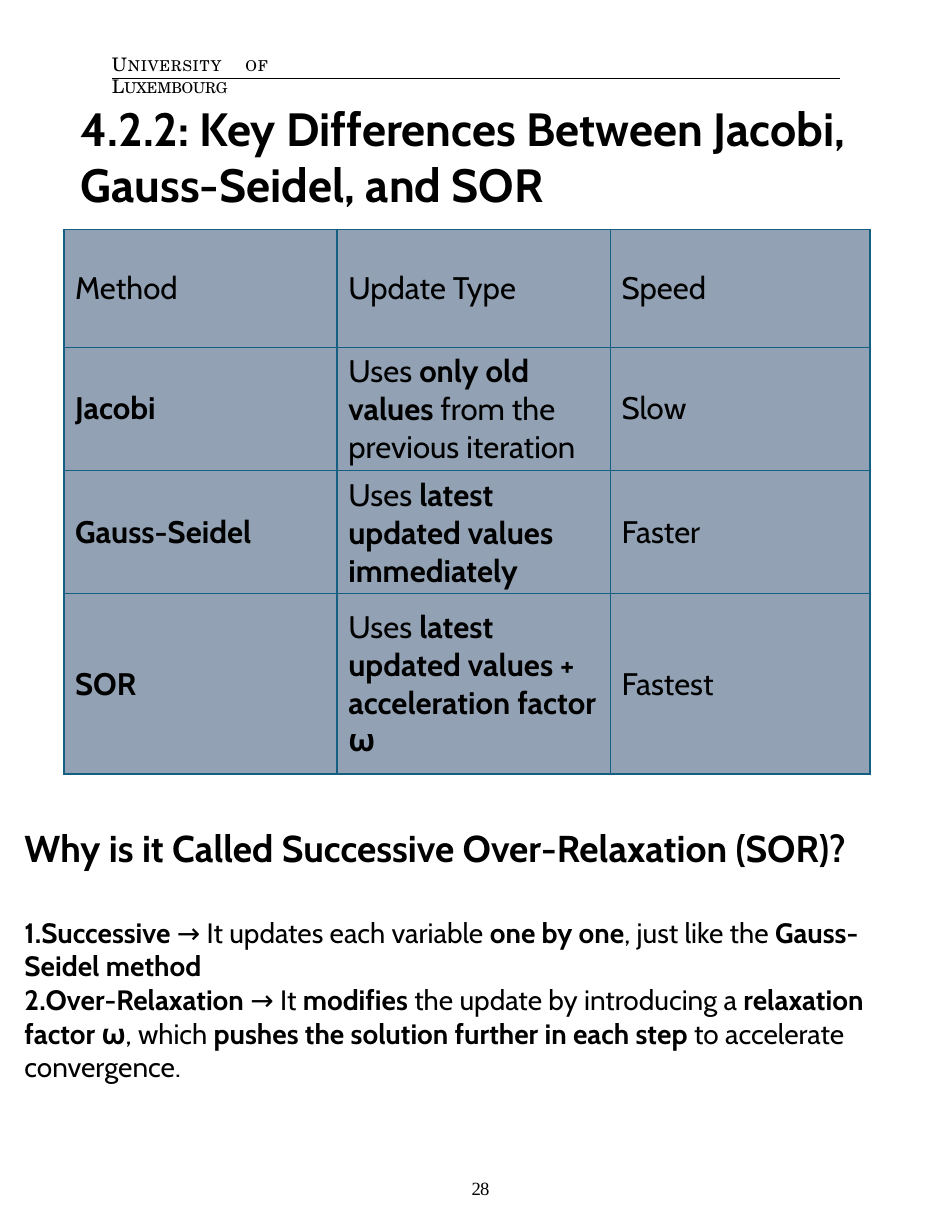
from lxml import etree
from pptx import Presentation
from pptx.dml.color import RGBColor
from pptx.enum.shapes import MSO_CONNECTOR
from pptx.enum.text import MSO_ANCHOR
from pptx.oxml.ns import qn
from pptx.util import Inches, Pt

STRAIGHT = MSO_CONNECTOR.STRAIGHT
MIDDLE = MSO_ANCHOR.MIDDLE
BODY_FONT = "Cabin"
BLACK, TABLE_FILL, TABLE_BORDER = "000000", "92A2B4", "156082"


def colour(value):
    return RGBColor.from_string(value)


def child(parent, tag, **attributes):
    return etree.SubElement(parent, qn(tag), attributes)


class Page:
    """Holds the text style and the current slide."""

    def __init__(self, deck, font):
        self.slide = deck.slides.add_slide(deck.slide_layouts[6])
        self.font = font

    def add_spans(self, para, spans, size, font=None):
        """Each span is (text, format values); extra values go to the XML."""
        for text, values in spans:
            span = para.add_run()
            span.text = text
            span.font.color.rgb = colour(BLACK)
            style = {"size": Pt(size), "name": font or self.font,
                     "bold": values.get("bold", False)}
            for name, value in style.items():
                setattr(span.font, name, value)
            for name in ("spc", "cap"):
                if name in values:
                    span._r.get_or_add_rPr().set(name, values[name])

    def text(self, left, top, width, height, margins=None):
        box = self.slide.shapes.add_textbox(
            Inches(left), Inches(top), Inches(width), Inches(height))
        frame = box.text_frame
        frame.word_wrap = True
        if margins:
            sides = ("margin_left", "margin_top", "margin_right", "margin_bottom")
            for side, value in zip(sides, margins):
                setattr(frame, side, Inches(value))
        return frame

    def label(self, left, top, width, height, spans, font):
        frame = self.text(left, top, width, height, (0, 0.01, 0, 0))
        para = frame.paragraphs[0]
        para.space_before = Pt(0.9)
        para._p.get_or_add_pPr().set("marL", str(Inches(0.01)))
        self.add_spans(para, spans, 12, font)

    def numbered(self, frame, spans, size, gap=0):
        para = frame.add_paragraph()
        para.space_before = Pt(gap)
        properties = para._p.get_or_add_pPr()
        properties.set("marL", "0")
        properties.set("indent", "0")
        child(properties, "a:buFont", typeface=self.font)
        child(properties, "a:buAutoNum", type="arabicPeriod")
        self.add_spans(para, spans, size)

    def rule(self, left, top, right):
        line = self.slide.shapes.add_connector(
            STRAIGHT, Inches(left), Inches(top), Inches(right), Inches(top))
        line.line.color.rgb = colour(BLACK)
        line.line.width = Pt(0.5)
        child(line._element.spPr, "a:effectLst")

    def table(self, left, top, widths, heights, rows, size):
        frame = self.slide.shapes.add_table(
            len(heights), len(widths), Inches(left), Inches(top),
            Inches(sum(widths)), Inches(sum(heights)))
        grid = frame.table
        for column, width in zip(grid.columns, widths):
            column.width = Inches(width)
        for row, height, contents in zip(grid.rows, heights, rows):
            row.height = Inches(height)
            for cell, spans in zip(row.cells, contents):
                cell.vertical_anchor = MIDDLE
                self.add_spans(cell.text_frame.paragraphs[0], spans, size)
                self.border(cell)
                cell.fill.solid()
                cell.fill.fore_color.rgb = colour(TABLE_FILL)

    def border(self, cell):
        properties = cell._tc.get_or_add_tcPr()
        for side in ("a:lnL", "a:lnR", "a:lnT", "a:lnB"):
            line = child(properties, side, w=str(Pt(1)))
            child(child(line, "a:solidFill"), "a:srgbClr", val=TABLE_BORDER)


def plain(text):
    return text, {}


def bold(text):
    return text, {"bold": True}


def main():
    deck = Presentation()
    deck.slide_width, deck.slide_height = Inches(8.5), Inches(11)
    page = Page(deck, BODY_FONT)

    # Running header and page number
    page.label(0.99, 0.46, 2.3, 0.22, [
        ("U", {"spc": "50"}),
        ("niversity", {"spc": "50", "cap": "small"}),
        (" ", {"spc": "700"}),
        ("of ", {"spc": "50", "cap": "small"}),
        ("L", {"spc": "-10"}),
        ("uxembourg", {"spc": "-10", "cap": "small"}),
    ], "TeX Gyre Schola")
    page.rule(1, 0.7, 7.5)
    page.label(4.2, 10.5, 0.22, 0.22, [("28", {"spc": "-50"})], "Times New Roman")

    # Title
    title = page.text(0.72, 0.87, 7.26, 1.57, (0, 0.02, 0, 0))
    page.add_spans(title.paragraphs[0], [
        bold("4.2.2: Key Differences Between Jacobi, Gauss-Seidel, and SOR")], 30)

    # Comparison of the methods
    page.table(0.57, 2.05, [2.44, 2.44, 2.32], [1.05, 1.1, 1.1, 1.61], [
        [[plain("Method")], [plain("Update Type")], [plain("Speed")]],
        [[bold("Jacobi")],
         [plain("Uses "), bold("only old values"),
          plain(" from the previous iteration")],
         [plain("Slow")]],
        [[bold("Gauss-Seidel")],
         [plain("Uses "), bold("latest updated values immediately")],
         [plain("Faster")]],
        [[bold("SOR")],
         [plain("Uses "), bold("latest updated values + acceleration factor ω")],
         [plain("Fastest")]],
    ], 20)

    # Explanation of the name
    reason = page.text(0.12, 7.32, 8.25, 2.73)
    page.add_spans(reason.paragraphs[0], [
        bold("Why is it Called Successive Over-Relaxation (SOR)?")], 24)
    page.numbered(reason, [
        bold("Successive"), plain(" → It updates each variable "),
        bold("one by one"), plain(", just like the "),
        bold("Gauss-Seidel method")], 18, gap=29)
    page.numbered(reason, [
        bold("Over-Relaxation"), plain(" → It "), bold("modifies"),
        plain(" the update by introducing a "), bold("relaxation factor ω"),
        plain(", which "), bold("pushes the solution further in each step"),
        plain(" to accelerate convergence.")], 18)

    deck.save("out.pptx")


if __name__ == "__main__":
    main()
